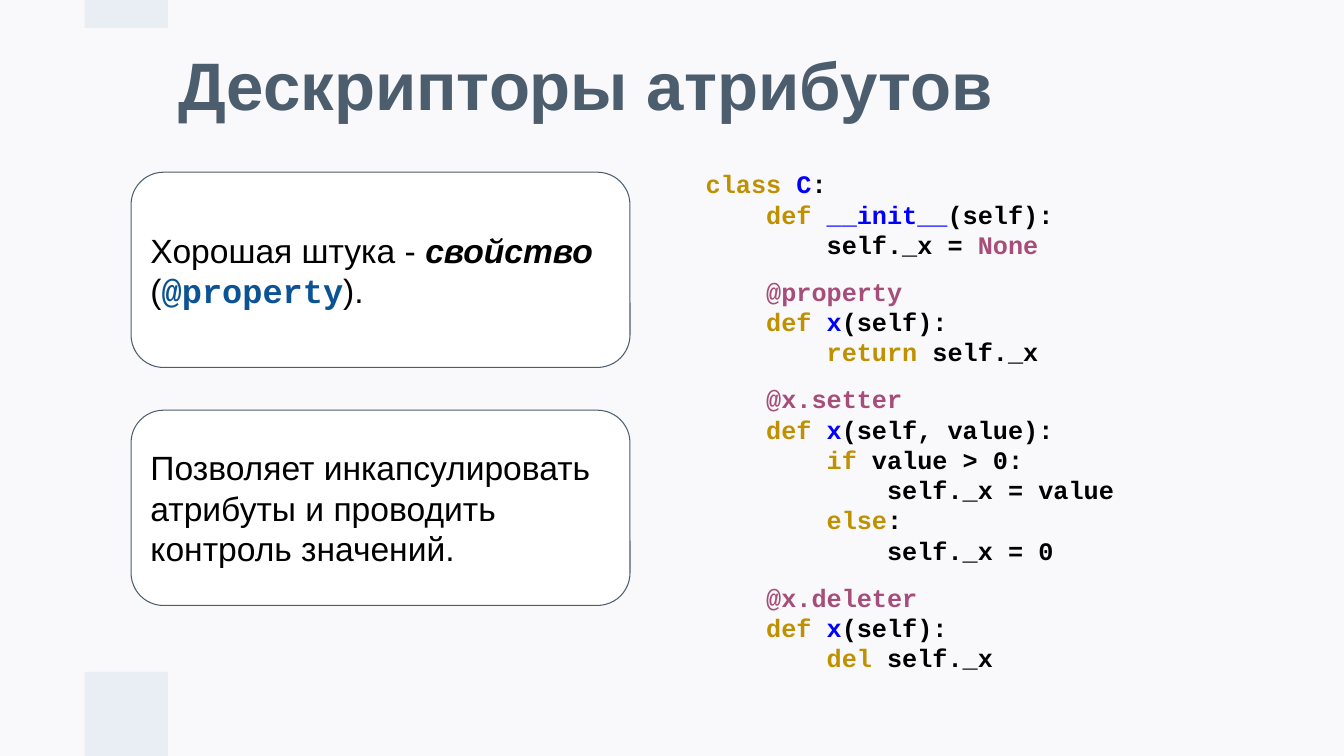
from pptx import Presentation
from pptx.dml.color import RGBColor
from pptx.enum.shapes import MSO_SHAPE as Shape
from pptx.enum.text import MSO_ANCHOR as Anchor, MSO_AUTO_SIZE as AutoSize, PP_ALIGN as Align
from pptx.util import Pt

BACKGROUND = RGBColor(0xF9, 0xF9, 0xFB)
BAND = RGBColor(0xE9, 0xED, 0xF4)
SLATE = RGBColor(0x4C, 0x5D, 0x6E)
WHITE = RGBColor(0xFF, 0xFF, 0xFF)
BLACK = RGBColor(0x00, 0x00, 0x00)
KEYWORD = RGBColor(0xBF, 0x90, 0x00)
NAME = RGBColor(0x00, 0x00, 0xFF)
SPECIAL = RGBColor(0xA6, 0x4D, 0x79)
PROPERTY = RGBColor(0x0B, 0x53, 0x94)

TITLE_FORMAT = {"name": "Arial", "size": Pt(48), "bold": True, "color": SLATE}
BODY_FORMAT = {"name": "Arial", "size": Pt(24), "bold": False, "color": BLACK}
TERM_FORMAT = BODY_FORMAT | {"bold": True, "italic": True}
PROPERTY_FORMAT = BODY_FORMAT | {"name": "Courier New", "bold": True, "color": PROPERTY}
CODE_FORMAT = {"name": "Courier New", "size": Pt(18), "bold": True}
CODE_INDENT = Pt(43.2)

CARDS = [
    [("Хорошая штука - ", BODY_FORMAT), ("свойство", TERM_FORMAT), (" (", BODY_FORMAT),
     ("@property", PROPERTY_FORMAT), (").", BODY_FORMAT)],
    [("Позволяет инкапсулировать атрибуты и проводить контроль значений.", BODY_FORMAT)],
]

CODE_LINES = [
    (0, [("class ", KEYWORD), ("C", NAME), (":", BLACK)]),
    (1, [("def ", KEYWORD), ("__init__", NAME), ("(self):", BLACK)]),
    (2, [("self._x = ", BLACK), ("None", SPECIAL)]),
    (1, [("@property", SPECIAL)]),
    (1, [("def ", KEYWORD), ("x", NAME), ("(self):", BLACK)]),
    (2, [("return", KEYWORD), (" self._x", BLACK)]),
    (1, [("@x.setter", SPECIAL)]),
    (1, [("def ", KEYWORD), ("x", NAME), ("(self, value):", BLACK)]),
    (2, [("if", KEYWORD), (" value > 0:", BLACK)]),
    (3, [("self._x = value", BLACK)]),
    (2, [("else", KEYWORD), (":", BLACK)]),
    (3, [("self._x = 0", BLACK)]),
    (1, [("@x.deleter", SPECIAL)]),
    (1, [("def ", KEYWORD), ("x", NAME), ("(self):", BLACK)]),
    (2, [("del", KEYWORD), (" self._x", BLACK)]),
]


def add_run(paragraph, text, text_format):
    run = paragraph.add_run()
    run.text = text
    for attribute, value in text_format.items():
        if attribute == "color":
            run.font.color.rgb = value
        else:
            setattr(run.font, attribute, value)


def set_frame(frame, vertical_margin=7.2):
    settings = {
        "word_wrap": True, "auto_size": AutoSize.NONE, "vertical_anchor": Anchor.MIDDLE,
        "margin_left": Pt(7.2), "margin_right": Pt(7.2),
        "margin_top": Pt(vertical_margin), "margin_bottom": Pt(vertical_margin),
    }
    for attribute, value in settings.items():
        setattr(frame, attribute, value)


def add_box(slide, kind, bounds, fill, line=None):
    shape = slide.shapes.add_shape(kind, *map(Pt, bounds))
    shape.shadow.inherit = False
    shape.fill.solid()
    shape.fill.fore_color.rgb = fill
    if line is None:
        shape.line.fill.background()
    else:
        shape.line.color.rgb = line
        shape.line.width = Pt(0.75)
    return shape


def set_title(slide, text):
    title = slide.shapes.title
    bounds = {"left": Pt(120), "top": Pt(4.3), "width": Pt(777), "height": Pt(118.8)}
    for attribute, value in bounds.items():
        setattr(title, attribute, value)
    set_frame(title.text_frame, 3.6)
    paragraph = title.text_frame.paragraphs[0]
    paragraph.alignment = Align.LEFT
    paragraph.line_spacing = 0.9
    add_run(paragraph, text, TITLE_FORMAT)


def add_card(slide, top, pieces):
    card = add_box(slide, Shape.ROUNDED_RECTANGLE, (93.6, top, 356.4, 139.5), WHITE, SLATE)
    set_frame(card.text_frame)
    paragraph = card.text_frame.paragraphs[0]
    paragraph.alignment = Align.LEFT
    for text, text_format in pieces:
        add_run(paragraph, text, text_format)


def add_code(slide, bounds, lines):
    frame = slide.shapes.add_textbox(*map(Pt, bounds)).text_frame
    set_frame(frame)
    for index, (level, pieces) in enumerate(lines):
        paragraph = frame.add_paragraph() if index else frame.paragraphs[0]
        properties = paragraph._p.get_or_add_pPr()
        properties.set("marL", str(level * CODE_INDENT))
        properties.set("indent", "0")
        if pieces[0][0].startswith("@"):
            paragraph.space_before = Pt(12)
        for text, color in pieces:
            add_run(paragraph, text, CODE_FORMAT | {"color": color})


def main():
    presentation = Presentation()
    presentation.slide_width = Pt(960)
    presentation.slide_height = Pt(540)
    slide = presentation.slides.add_slide(presentation.slide_layouts[5])
    slide.background.fill.solid()
    slide.background.fill.fore_color.rgb = BACKGROUND

    for top, height in ((0, 20), (480, 60)):
        add_box(slide, Shape.RECTANGLE, (60.5, top, 59.5, height), BAND)
    set_title(slide, "Дескрипторы атрибутов")
    add_code(slide, (497, 102.2, 341.3, 396.7), CODE_LINES)
    for index, pieces in enumerate(CARDS):
        add_card(slide, 123 + index * 170, pieces)

    presentation.save("out.pptx")


if __name__ == "__main__":
    main()
